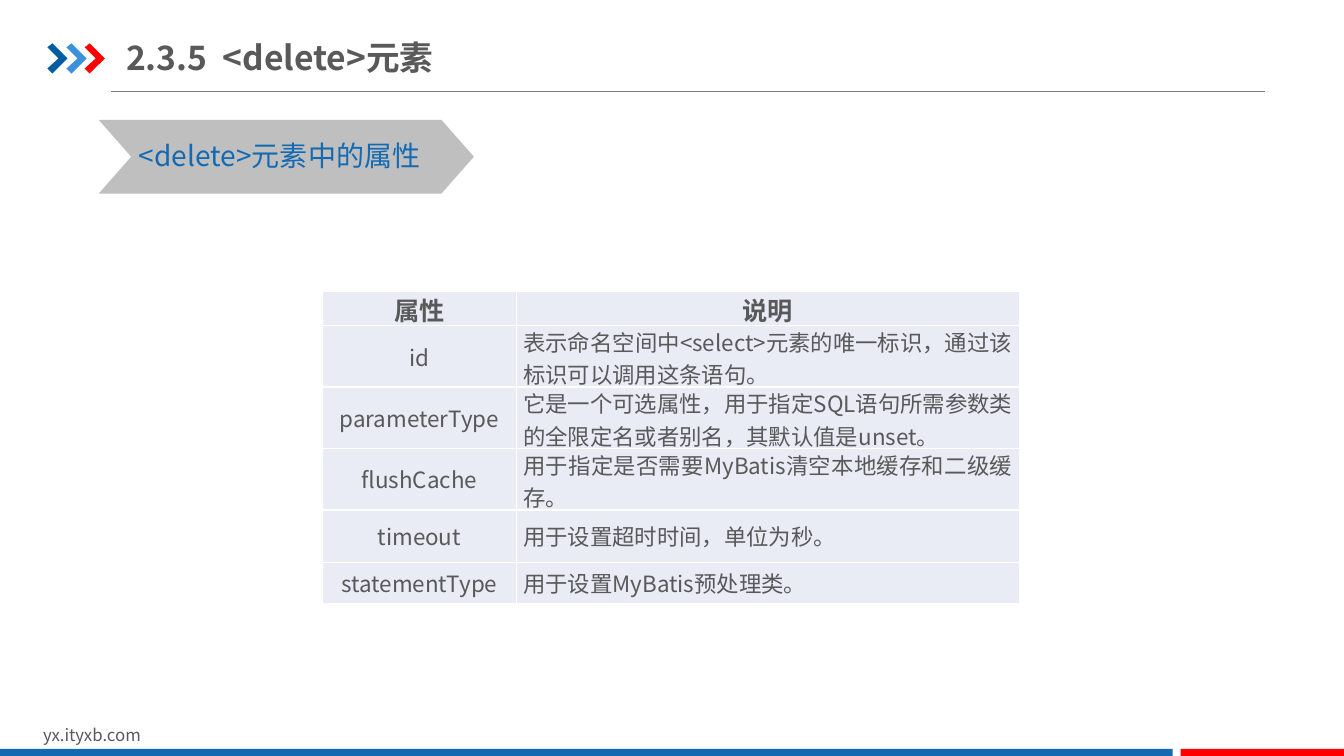
"""Build the slide that lists the attributes of the <delete> element."""
from dataclasses import dataclass

from lxml.etree import SubElement
from pptx import Presentation
from pptx.dml.color import RGBColor
from pptx.enum.shapes import MSO_CONNECTOR as Connector, MSO_SHAPE as Shape
from pptx.enum.text import MSO_ANCHOR as Anchor, MSO_AUTO_SIZE as AutoSize, PP_ALIGN as Align
from pptx.oxml.ns import qn
from pptx.util import Pt

PX = 9144


@dataclass(frozen=True)
class Theme:
    """Colours, type sizes and font of the slide."""
    font: str = "Noto Sans CJK SC"
    ink: str = "595959"
    blue: str = "1369B2"
    navy: str = "005DA2"
    sky: str = "3992DB"
    red: str = "FF0000"
    rule: str = "808080"
    banner: str = "BFBFBF"
    cell: str = "E9EBF5"
    border: str = "FFFFFF"
    title: int = 24
    label: int = 20
    header: int = 18
    body: int = 16
    footer: int = 12


class SlideBuilder:
    """Draws styled elements on one slide, with lengths in px."""

    def __init__(self, slide, theme):
        self.slide, self.theme = slide, theme

    def run(self, paragraph, text, size, color, bold=False, spacing=0):
        """Add one styled run, with optional tracking in hundredths of a point."""
        run = paragraph.add_run()
        run.text = text
        font = run.font
        font.size, font.bold, font.name = Pt(size), bold, self.theme.font
        font.color.rgb = RGBColor.from_string(color)
        properties = run._r.get_or_add_rPr()
        SubElement(properties, qn("a:ea")).set("typeface", self.theme.font)
        if spacing:
            properties.set("spc", str(spacing))

    def title(self, left, top, width, height, parts):
        """Place the title and fill it from (text, tracking) parts."""
        title = self.slide.shapes.title
        title.left, title.top = left * PX, top * PX
        title.width, title.height = width * PX, height * PX
        frame = title.text_frame
        frame.margin_left = frame.margin_right = 0
        frame.margin_top = frame.margin_bottom = 7 * PX
        frame.vertical_anchor, frame.word_wrap = Anchor.MIDDLE, True
        frame.auto_size = AutoSize.NONE
        paragraph = frame.paragraphs[0]
        paragraph.alignment = Align.LEFT
        for text, spacing in parts:
            self.run(paragraph, text, self.theme.title, self.theme.ink, True, spacing)

    def text(self, left, top, width, height, text, size, color, wrap=True):
        """Add a one-line text box."""
        box = self.slide.shapes.add_textbox(left * PX, top * PX, width * PX, height * PX)
        frame = box.text_frame
        frame.word_wrap, frame.auto_size = wrap, AutoSize.SHAPE_TO_FIT_TEXT
        self.run(frame.paragraphs[0], text, size, color)

    def paint(self, shape, color):
        """Give a shape a flat fill without line or shadow."""
        shape.shadow.inherit = False
        shape.fill.solid()
        shape.fill.fore_color.rgb = RGBColor.from_string(color)
        shape.line.fill.background()

    def block(self, preset, left, top, width, height, color):
        """Add a flat preset shape."""
        shape = self.slide.shapes.add_shape(preset, left * PX, top * PX, width * PX, height * PX)
        self.paint(shape, color)
        return shape

    def arrow(self, left, top, color):
        """Add one arrowhead of the title mark."""
        outline = [(0, 4), (5, 0), (20, 15), (5, 30), (0, 25), (11, 15)]
        start, *rest = [(left + x, top + y) for x, y in outline]
        builder = self.slide.shapes.build_freeform(*start, scale=PX)
        builder.add_line_segments(rest, close=True)
        self.paint(builder.convert_to_shape(), color)

    def rule(self, left, right, y, color, weight):
        """Add a horizontal line."""
        line = self.slide.shapes.add_connector(
            Connector.STRAIGHT, left * PX, y * PX, right * PX, y * PX)
        line.line.color.rgb = RGBColor.from_string(color)
        line.line.width = Pt(weight)
        SubElement(line._element.spPr, qn("a:effectLst"))

    def cell(self, cell, text, size, align, bold):
        """Fill one table cell and draw its four borders."""
        properties = cell._tc.get_or_add_tcPr()
        for side in ("a:lnL", "a:lnR", "a:lnT", "a:lnB"):
            border = SubElement(properties, qn(side), w=str(Pt(1)))
            fill = SubElement(border, qn("a:solidFill"))
            SubElement(fill, qn("a:srgbClr"), val=self.theme.border)
        cell.fill.solid()
        cell.fill.fore_color.rgb = RGBColor.from_string(self.theme.cell)
        cell.margin_left = cell.margin_right = 7 * PX
        cell.margin_top = cell.margin_bottom = 0
        cell.vertical_anchor = Anchor.MIDDLE
        paragraph = cell.text_frame.paragraphs[0]
        paragraph.alignment = align
        self.run(paragraph, text, size, self.theme.ink, bold)

    def table(self, left, top, widths, heights, rows, aligns):
        """Add a table whose first row is the header."""
        table = self.slide.shapes.add_table(
            len(rows), len(widths), left * PX, top * PX,
            sum(widths) * PX, sum(heights) * PX).table
        table.first_row = table.horz_banding = False
        for column, width in zip(table.columns, widths):
            column.width = width * PX
        for r, (height, row) in enumerate(zip(heights, rows)):
            table.rows[r].height = height * PX
            header = r == 0
            size = self.theme.header if header else self.theme.body
            for c, text in enumerate(row):
                align = Align.CENTER if header else aligns[c]
                self.cell(table.cell(r, c), text, size, align, header)


ATTRIBUTES = [
    ("属性", "说明"),
    ("id", "表示命名空间中<select>元素的唯一标识，通过该标识可以调用这条语句。"),
    ("parameterType", "它是一个可选属性，用于指定SQL语句所需参数类的全限定名或者别名，其默认值是unset。"),
    ("flushCache", "用于指定是否需要MyBatis清空本地缓存和二级缓存。"),
    ("timeout", "用于设置超时时间，单位为秒。"),
    ("statementType", "用于设置MyBatis预处理类。"),
]


def main():
    """Build and save the slide."""
    theme = Theme()
    deck = Presentation()
    deck.slide_width, deck.slide_height = 1333 * PX, 750 * PX
    page = SlideBuilder(deck.slides.add_slide(deck.slide_layouts[5]), theme)

    page.rule(110, 1255, 91, theme.rule, 0.5)
    for left, color in zip((47, 66, 84), (theme.navy, theme.sky, theme.red)):
        page.arrow(left, 43, color)
    page.title(125, 29, 345, 55, [("2.3.5", 0), (" ", 540), ("<delete>元素", 0)])

    page.text(33, 714, 318, 30, "yx.ityxb.com", theme.footer, theme.ink)
    for left, right, color in ((0, 1163, theme.blue), (1171, 1333, theme.red)):
        page.block(Shape.RECTANGLE, left, 743, right - left, 7, color)

    banner = page.block(Shape.CHEVRON, 98, 119, 372, 73, theme.banner)
    banner.adjustments[0] = 0.44
    page.text(128, 133, 314, 44, "<delete>元素中的属性", theme.label, theme.blue, wrap=False)

    page.table(320, 289, (192, 499), (34, 61, 61, 61, 52, 41), ATTRIBUTES,
               (Align.CENTER, Align.JUSTIFY))
    deck.save("out.pptx")


if __name__ == "__main__":
    main()
